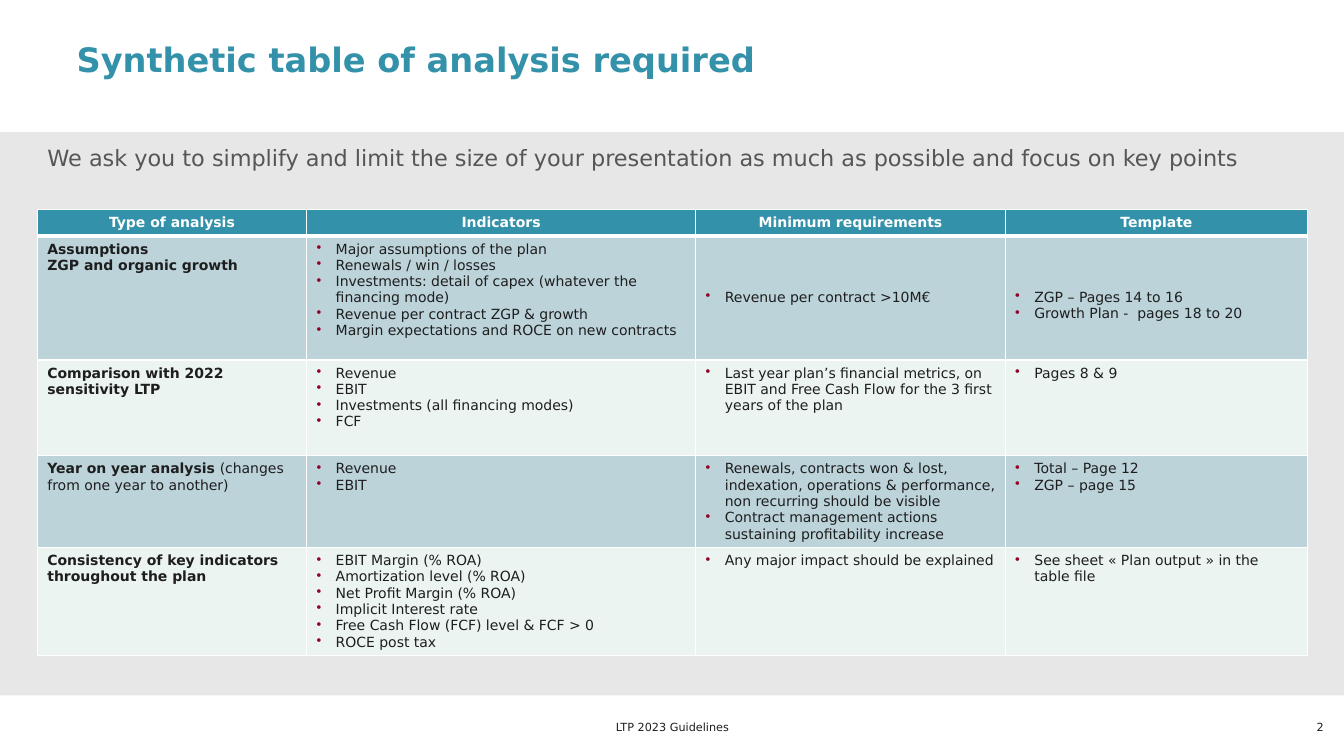
import lxml.etree
import pptx
import pptx.dml.color
import pptx.enum.shapes
import pptx.enum.text
import pptx.oxml.ns
import pptx.util

Inches = pptx.util.Inches
Pt = pptx.util.Pt
ALIGN = pptx.enum.text.PP_ALIGN
ANCHOR = pptx.enum.text.MSO_ANCHOR
qn = pptx.oxml.ns.qn

COLORS = {
    "teal": "3391AA", "band": "E7E7E8", "ink": "1E1E1E", "grey": "565656", "white": "FFFFFF",
    "row_dark": "BCD3DA", "row_light": "ECF4F1", "bullet": "920024",
}
HEADERS = ["Type of analysis", "Indicators", "Minimum requirements", "Template"]
COLUMN_WIDTHS = [2.67, 3.86, 3.07, 3]
ROW_HEIGHTS = [0.26, 1.23, 0.95, 0.91, 1.07]

# Each row: heading paragraphs as (bold, plain) pairs, then three bullet lists
ROWS = [
    ([("Assumptions", ""), ("ZGP and organic growth", "")],
     ["Major assumptions of the plan", "Renewals / win / losses",
      "Investments: detail of capex (whatever the financing mode)",
      "Revenue per contract ZGP & growth", "Margin expectations and ROCE on new contracts"],
     ["Revenue per contract >10M€"],
     ["ZGP – Pages 14 to 16", "Growth Plan -  pages 18 to 20"]),
    ([("Comparison with 2022 sensitivity LTP", "")],
     ["Revenue", "EBIT", "Investments (all financing modes)", "FCF"],
     ["Last year plan’s financial metrics, on EBIT and Free Cash Flow for the 3 first years of the plan"],
     ["Pages 8 & 9"]),
    ([("Year on year analysis ", "(changes from one year to another)")],
     ["Revenue", "EBIT"],
     ["Renewals, contracts won & lost, indexation, operations & performance, "
      "non recurring should be visible",
      "Contract management actions sustaining profitability increase"],
     ["Total – Page 12", "ZGP – page 15"]),
    ([("Consistency of key indicators throughout the plan", "")],
     ["EBIT Margin (% ROA)", "Amortization level (% ROA)", "Net Profit Margin (% ROA)",
      "Implicit Interest rate", "Free Cash Flow (FCF) level & FCF > 0", "ROCE post tax"],
     ["Any major impact should be explained"],
     ["See sheet « Plan output » in the table file"]),
]


class SlideBuilder:
    font_name = "DejaVu Sans"

    def __init__(self, slide):
        self.slide = slide

    def color(self, name):
        return pptx.dml.color.RGBColor.from_string(COLORS[name])

    def style(self, paragraph, size, color, bold=None, align=ALIGN.LEFT):
        paragraph.alignment = align
        font = paragraph.font
        font.name, font.size, font.bold = self.font_name, Pt(size), bold
        font.color.rgb = self.color(color)

    def place(self, shape, left, top, width, height):
        shape.left, shape.top = Inches(left), Inches(top)
        shape.width, shape.height = Inches(width), Inches(height)

    def fill_text(self, shape, text, anchor, inset=None):
        frame = shape.text_frame
        frame.auto_size = pptx.enum.text.MSO_AUTO_SIZE.NONE
        frame.word_wrap = True
        frame.vertical_anchor = anchor
        if inset is not None:
            frame.margin_left = frame.margin_right = Inches(inset)
            frame.margin_top = frame.margin_bottom = 0
        frame.text = text
        return frame.paragraphs[0]

    def background_band(self, top, height):
        band = self.slide.shapes.add_shape(
            pptx.enum.shapes.MSO_SHAPE.RECTANGLE, 0, Inches(top), Inches(13.33), Inches(height))
        band.shadow.inherit = False
        band.fill.solid()
        band.fill.fore_color.rgb = self.color("band")
        band.line.fill.background()
        band.element.getparent().insert(2, band.element)  # behind the placeholders

    def title(self, text, *box):
        shape = self.slide.shapes.title
        self.place(shape, *box)
        paragraph = self.fill_text(shape, text, ANCHOR.MIDDLE, 0.04)
        paragraph.line_spacing = 0.9
        self.style(paragraph, 24, "teal", True)

    def lead(self, text, *box):
        shape = self.slide.placeholders[1]
        self.place(shape, *box)
        paragraph = self.fill_text(shape, text, ANCHOR.TOP)
        paragraph.space_before = Pt(0)
        self.style(paragraph, 16, "grey")
        properties = paragraph._p.get_or_add_pPr()
        properties.set("marL", "0")
        properties.set("indent", "0")
        lxml.etree.SubElement(properties, qn("a:buNone"))
        properties.append(properties.find(qn("a:defRPr")))

    def small_text(self, text, align, *box):
        shape = self.slide.shapes.add_textbox(*(Inches(length) for length in box))
        paragraph = self.fill_text(shape, text, ANCHOR.BOTTOM, 0.04)
        self.style(paragraph, 8, "ink", align=align)

    def bullet(self, paragraph):
        properties = paragraph._p.get_or_add_pPr()
        properties.set("marL", str(Inches(0.19)))
        properties.set("indent", str(-Inches(0.19)))
        bullet_color = lxml.etree.SubElement(properties, qn("a:buClr"))
        lxml.etree.SubElement(bullet_color, qn("a:srgbClr"), val=COLORS["bullet"])
        lxml.etree.SubElement(properties, qn("a:buChar"), char="•")
        properties.append(properties.find(qn("a:defRPr")))

    def paint_cell(self, cell, color, top_width=1, bottom_width=1):
        properties = cell._tc.get_or_add_tcPr()
        for side, width in zip("LRTB", (1, 1, top_width, bottom_width)):
            line = lxml.etree.SubElement(properties, qn("a:ln" + side), w=str(Pt(width)))
            solid = lxml.etree.SubElement(line, qn("a:solidFill"))
            lxml.etree.SubElement(solid, qn("a:srgbClr"), val=COLORS["white"])
        cell.fill.solid()
        cell.fill.fore_color.rgb = self.color(color)

    def heading_cell(self, cell, lines):
        cell.text = "\n".join(bold for bold, plain in lines)
        for paragraph, (bold, plain) in zip(cell.text_frame.paragraphs, lines):
            self.style(paragraph, 10, "ink")
            paragraph.runs[0].font.bold = True
            if plain:
                run = paragraph.add_run()
                run.text = plain
                run.font.bold = False

    def list_cell(self, cell, items):
        cell.text = "\n".join(items)
        for paragraph in cell.text_frame.paragraphs:
            self.style(paragraph, 10, "ink", False)
            self.bullet(paragraph)

    def table(self, left, top):
        table = self.slide.shapes.add_table(
            len(ROW_HEIGHTS), len(HEADERS), Inches(left), Inches(top),
            Inches(sum(COLUMN_WIDTHS)), Inches(sum(ROW_HEIGHTS))).table
        table.horz_banding = False
        for column, width in zip(table.columns, COLUMN_WIDTHS):
            column.width = Inches(width)
        for row, height in zip(table.rows, ROW_HEIGHTS):
            row.height = Inches(height)

        for cell, header in zip(table.rows[0].cells, HEADERS):
            cell.text = header
            self.style(cell.text_frame.paragraphs[0], 10, "white", True, ALIGN.CENTER)
            self.paint_cell(cell, "teal", bottom_width=3)

        for number, (heading, *lists) in enumerate(ROWS, 1):
            first, *others = table.rows[number].cells
            self.heading_cell(first, heading)
            for cell, items in zip(others, lists):
                self.list_cell(cell, items)
            for cell in (first, *others):
                self.paint_cell(cell, "row_dark" if number % 2 else "row_light",
                                top_width=3 if number == 1 else 1)

        # Lower the two short lists of the first analysis
        for column in (2, 3):
            table.cell(1, column).margin_top = Inches(0.53)


def main():
    presentation = pptx.Presentation()
    presentation.slide_width, presentation.slide_height = Inches(13.33), Inches(7.5)
    builder = SlideBuilder(presentation.slides.add_slide(presentation.slide_layouts[1]))

    # Background and headings
    builder.background_band(1.31, 5.59)
    builder.title("Synthetic table of analysis required", 0.72, 0.17, 11.93, 0.89)
    builder.lead("We ask you to simplify and limit the size of your presentation "
                 "as much as possible and focus on key points", 0.37, 1.38, 12.49, 0.37)

    # Analysis table
    builder.table(0.37, 2.08)

    # Footer
    builder.small_text("LTP 2023 Guidelines", ALIGN.CENTER, 4.11, 7.15, 5.12, 0.13)
    builder.small_text("2", ALIGN.RIGHT, 12.84, 7.15, 0.33, 0.13)
    presentation.save("out.pptx")


if __name__ == "__main__":
    main()
